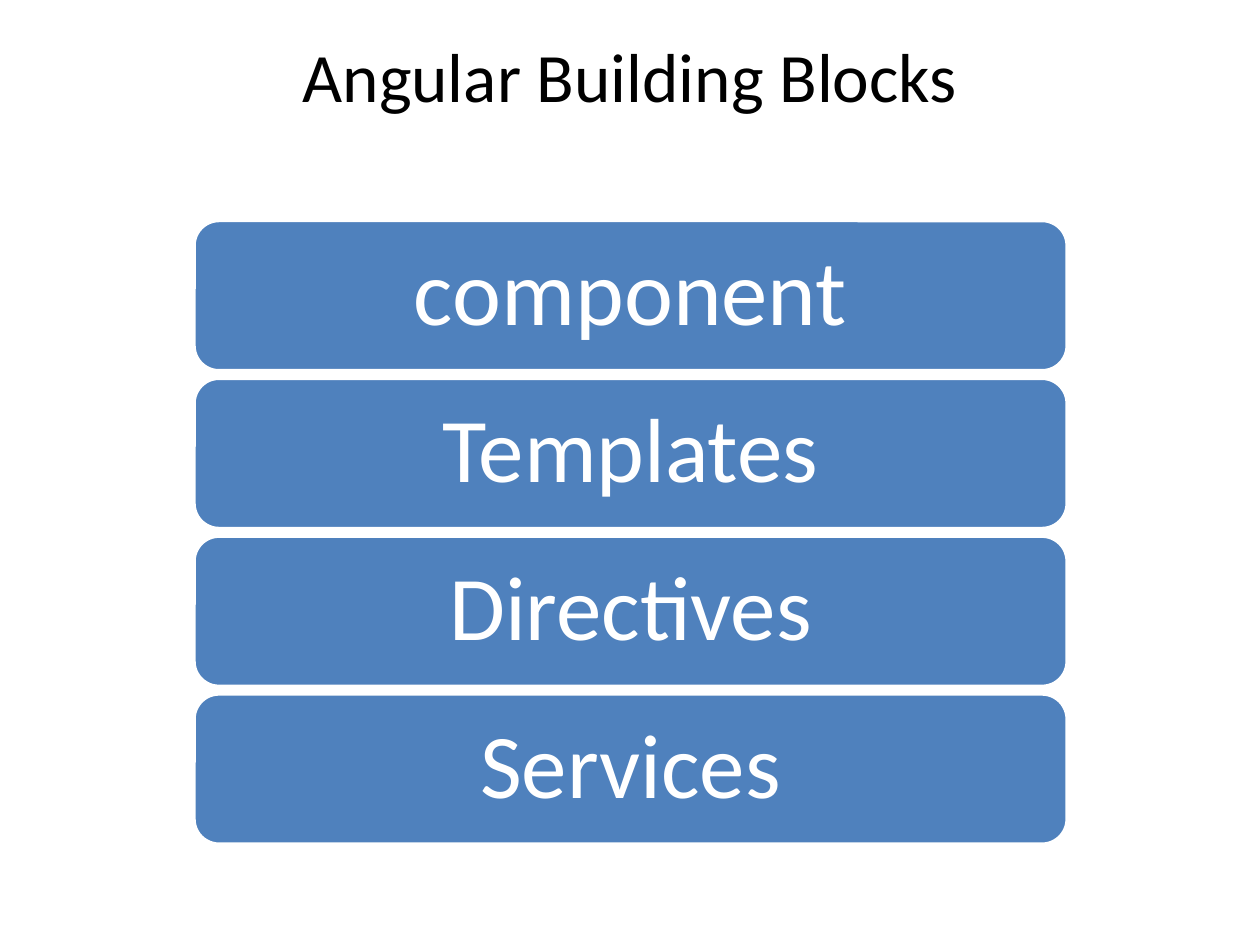
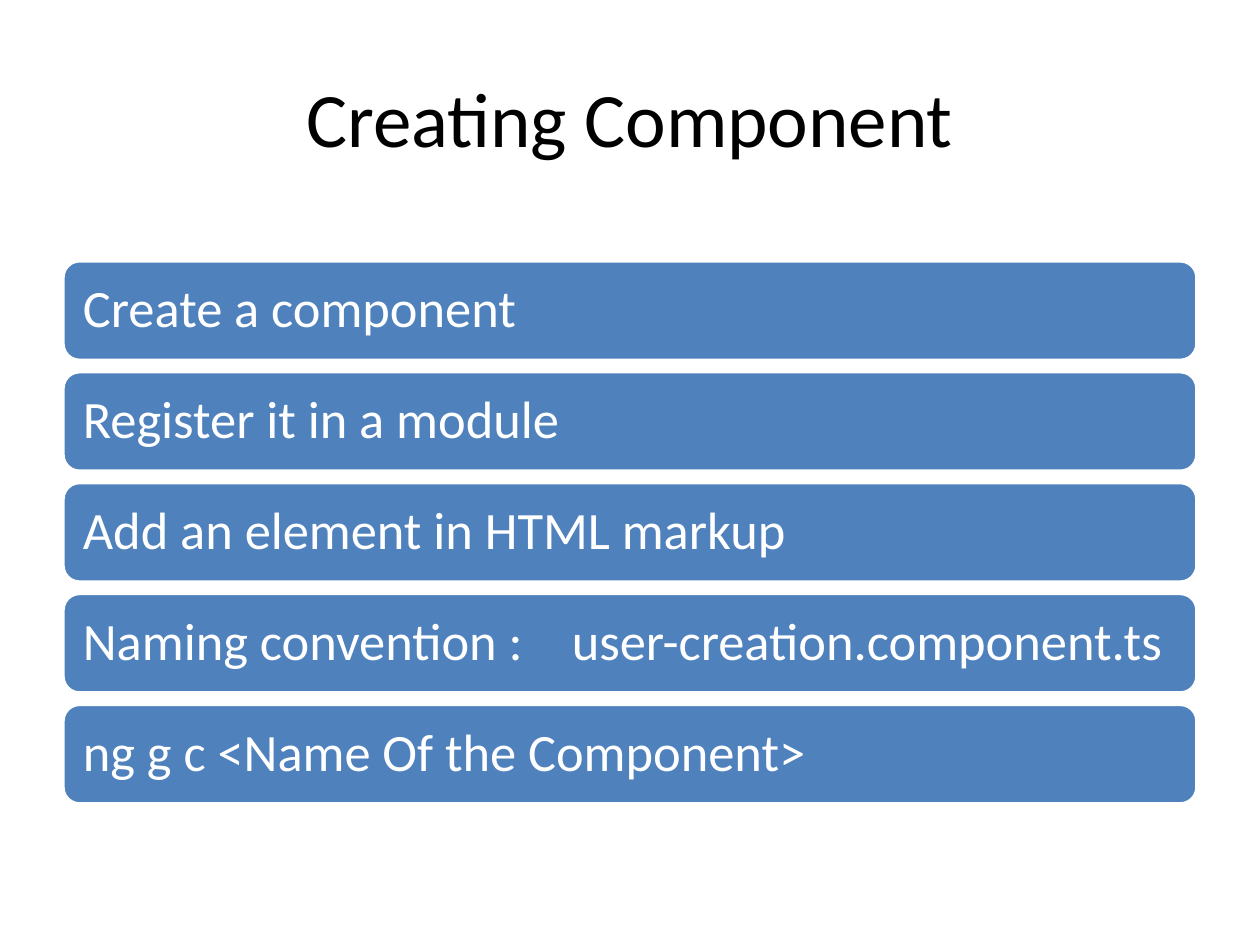
import pptx
import pptx.util
import pptx.dml.color
import pptx.enum.shapes
import pptx.enum.text
import pptx.oxml
import pptx.oxml.ns
from collections import namedtuple

Inches = pptx.util.Inches
Pt = pptx.util.Pt
RGBColor = pptx.dml.color.RGBColor
ALIGN = pptx.enum.text.PP_ALIGN
ANCHOR = pptx.enum.text.MSO_ANCHOR

BLUE = RGBColor(0x4F, 0x81, 0xBD)
WHITE = RGBColor(0xFF, 0xFF, 0xFF)
BLACK = RGBColor(0x00, 0x00, 0x00)
FONT = "Calibri"
TITLE_ONLY = 5

Box = namedtuple("Box", "left top width height")
BarStyle = namedtuple("BarStyle", "gap align side_inset end_inset")

TITLE_BOX = Box(0.5, 0.3, 9, 1.25)
RAISED_TITLE_BOX = Box(0.5, 0.26, 9, 1.25)
BLOCKS_BOX = Box(1.54, 1.75, 6.93, 4.95)
STEPS_BOX = Box(0.5, 2.07, 9, 4.31)

BLOCK_STYLE = BarStyle(0.06, ALIGN.CENTER, 0.22, 0.11)
STEP_STYLE = BarStyle(0.09, ALIGN.LEFT, 0.12, 0.12)
FILE_NAME_TAB = 3.88

BLOCKS = [("component", 53), ("Templates", 52), ("Directives", 52), ("Services", 52)]
STEPS = [
    "Create a component",
    "Register it in a module",
    "Add an element in HTML markup",
    "Naming convention :\tuser-creation.component.ts",
    "ng g c <Name Of the Component>",
]


def set_font(paragraph, size, color):
    for run in paragraph.runs:
        run.font.name = FONT
        run.font.size = Pt(size)
        run.font.color.rgb = color


def add_tab_stop(paragraph, position):
    properties = paragraph._p.get_or_add_pPr()
    tabs = pptx.oxml.parse_xml(
        f'<a:tabLst {pptx.oxml.ns.nsdecls("a")}>'
        f'<a:tab pos="{Inches(position)}" algn="l"/></a:tabLst>'
    )
    properties.append(tabs)


def add_titled_slide(deck, wording, size, box, anchor):
    slide = deck.slides.add_slide(deck.slide_layouts[TITLE_ONLY])
    title = slide.shapes.title
    title.left, title.top, title.width, title.height = map(Inches, box)
    frame = title.text_frame
    frame.text = wording
    frame.auto_size = pptx.enum.text.MSO_AUTO_SIZE.NONE
    frame.vertical_anchor = anchor
    frame.margin_top = frame.margin_bottom = 0
    frame.paragraphs[0].alignment = ALIGN.CENTER
    set_font(frame.paragraphs[0], size, BLACK)
    return slide


def add_bar(slide, box, label, size, style):
    bar = slide.shapes.add_shape(
        pptx.enum.shapes.MSO_SHAPE.ROUNDED_RECTANGLE, *map(Inches, box)
    )
    bar.shadow.inherit = False
    bar.fill.solid()
    bar.fill.fore_color.rgb = BLUE
    bar.line.color.rgb = WHITE
    bar.line.width = Pt(2)
    frame = bar.text_frame
    frame.word_wrap = True
    frame.vertical_anchor = ANCHOR.MIDDLE
    frame.margin_left = frame.margin_right = Inches(style.side_inset)
    frame.margin_top = frame.margin_bottom = Inches(style.end_inset)
    frame.text = label
    paragraph = frame.paragraphs[0]
    paragraph.alignment = style.align
    paragraph.line_spacing = 0.9
    if "\t" in label:
        add_tab_stop(paragraph, FILE_NAME_TAB)
    set_font(paragraph, size, WHITE)


def add_bar_stack(slide, box, entries, style):
    pitch = (box.height + style.gap) / len(entries)
    for row, (label, size) in enumerate(entries):
        bar_box = Box(box.left, box.top + row * pitch, box.width, pitch - style.gap)
        add_bar(slide, bar_box, label, size, style)


def main():
    deck = pptx.Presentation()
    deck.slide_width, deck.slide_height = Inches(10), Inches(7.5)

    blocks_slide = add_titled_slide(
        deck, "Angular Building Blocks", 39.6, RAISED_TITLE_BOX, ANCHOR.TOP
    )
    add_bar_stack(blocks_slide, BLOCKS_BOX, BLOCKS, BLOCK_STYLE)

    steps_slide = add_titled_slide(
        deck, "Creating Component", 44, TITLE_BOX, ANCHOR.MIDDLE
    )
    add_bar_stack(steps_slide, STEPS_BOX, [(step, 30) for step in STEPS], STEP_STYLE)

    deck.save("out.pptx")


if __name__ == "__main__":
    main()
